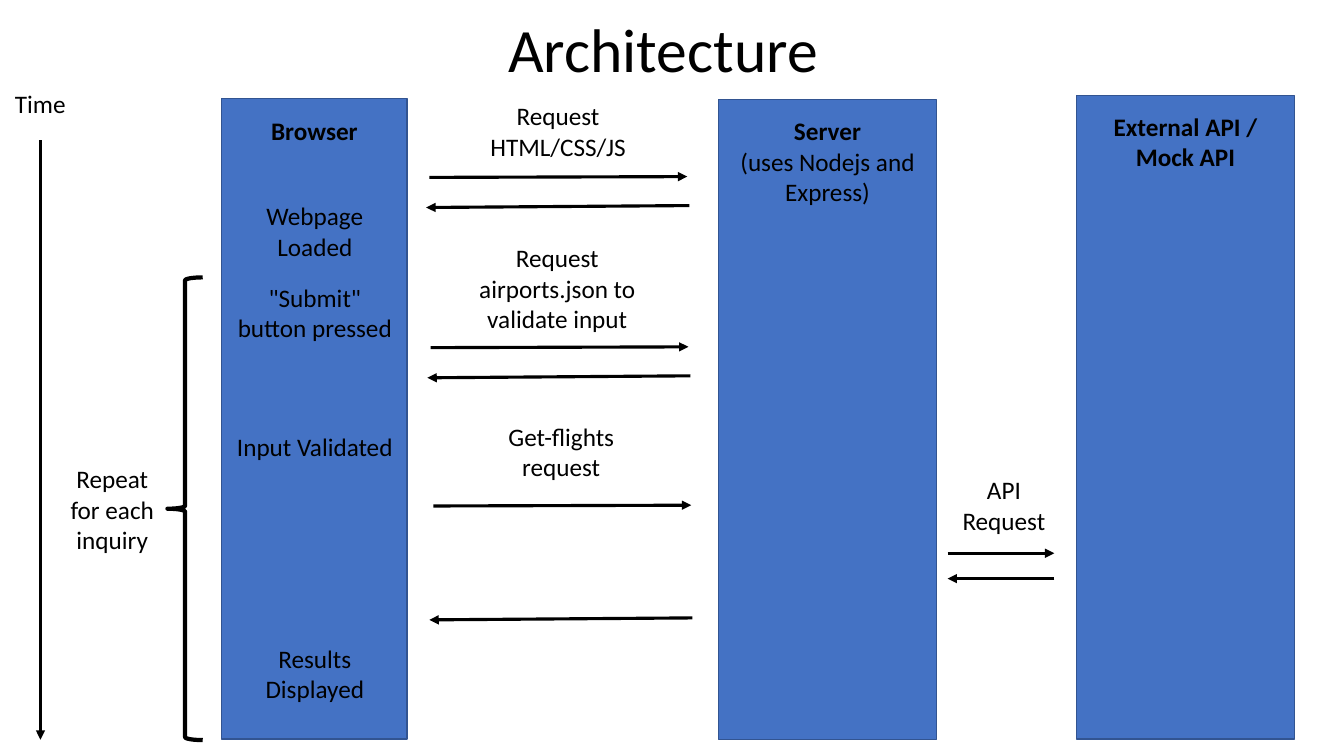
from lxml import etree
from pptx import Presentation
from pptx.dml.color import RGBColor
from pptx.enum.shapes import MSO_CONNECTOR, MSO_SHAPE
from pptx.enum.text import MSO_ANCHOR, MSO_AUTO_SIZE, PP_ALIGN
from pptx.oxml.ns import qn
from pptx.util import Cm, Pt


def rgb(value):
    return RGBColor.from_string(value)


class Diagram:
    font, ink, lane_fill, lane_edge = "Calibri", "000000", "4472C4", "325491"

    def __init__(self, prs):
        self.s = prs.slides.add_slide(prs.slide_layouts[5])

    def set_text(self, tf, text, size=18, bold_first=False):
        tf.text = text
        tf.word_wrap = True
        for i, p in enumerate(tf.paragraphs):
            p.alignment = PP_ALIGN.CENTER
            for r in p.runs:
                r.font.name, r.font.size = self.font, Pt(size)
                r.font.color.rgb = rgb(self.ink)
                r.font.bold = bold_first and i == 0

    def title(self, text, x, y, w, h):
        sp = self.s.shapes.title
        sp.left, sp.top, sp.width, sp.height = Cm(x), Cm(y), Cm(w), Cm(h)
        tf = sp.text_frame
        self.set_text(tf, text, size=44)
        tf.vertical_anchor = MSO_ANCHOR.MIDDLE
        tf.paragraphs[0].line_spacing = 0.9

    def label(self, text, x, y, w, lines, bold_first=False):
        height = 0.25 + 0.77 * lines
        tf = self.s.shapes.add_textbox(Cm(x), Cm(y), Cm(w), Cm(height)).text_frame
        self.set_text(tf, text, bold_first=bold_first)
        tf.auto_size = MSO_AUTO_SIZE.SHAPE_TO_FIT_TEXT

    def lane(self, x, y, w, h):
        sp = self.s.shapes.add_shape(MSO_SHAPE.RECTANGLE, Cm(x), Cm(y), Cm(w), Cm(h))
        sp.shadow.inherit = False
        sp.fill.solid()
        sp.fill.fore_color.rgb = rgb(self.lane_fill)
        sp.line.color.rgb = rgb(self.lane_edge)
        sp.line.width = Pt(1)

    def brace(self, x, y, w, h):
        sp = self.s.shapes.add_shape(MSO_SHAPE.LEFT_BRACE, Cm(x), Cm(y), Cm(w), Cm(h))
        sp.shadow.inherit = False
        sp.fill.background()
        sp.line.color.rgb = rgb(self.ink)
        sp.line.width = Pt(3)

    def arrow(self, x, y, dx, dy):
        c = self.s.shapes.add_connector(
            MSO_CONNECTOR.STRAIGHT, Cm(x), Cm(y), Cm(x + dx), Cm(y + dy))
        c.line.color.rgb = rgb(self.ink)
        c.line.width = Pt(2.25)
        props = c._element.spPr
        etree.SubElement(props.find(qn("a:ln")), qn("a:tailEnd"), type="triangle")
        etree.SubElement(props, qn("a:effectLst"))


def main():
    prs = Presentation()
    prs.slide_width, prs.slide_height = Cm(33.87), Cm(19.05)
    d = Diagram(prs)
    d.title("Architecture", 2.11, -0.13, 29.21, 2.92)

    # Lanes: left, top, width, height, heading, heading top, heading lines
    for x, y, w, h, heading, top, lines in [
        (5.59, 2.49, 4.67, 16.13, "Browser", 2.79, 1),
        (18.11, 2.51, 5.49, 16.13, "Server\n(uses Nodejs and Express)", 2.79, 3),
        (27.13, 2.41, 5.49, 16.21, "External API / Mock API", 2.67, 2),
    ]:
        d.lane(x, y, w, h)
        d.label(heading, x, top, w, lines, bold_first=True)

    # Browser states
    for text, y, lines in [
        ("Webpage Loaded", 4.93, 2),
        ('"Submit" button pressed', 6.99, 2),
        ("Input Validated", 10.74, 1),
        ("Results Displayed", 16.08, 2),
    ]:
        d.label(text, 5.6, y, 4.67, lines)

    # Browser and server messages: label place, request start, reply start
    for text, x, y, lines, request, reply in [
        ("Request HTML/CSS/JS", 11.73, 2.41, 2, (10.82, 4.47), (17.37, 5.18)),
        ("Request airports.json to validate input", 11.71, 5.99, 3,
         (10.85, 8.76), (17.4, 9.47)),
        ("Get-flights request", 11.81, 10.49, 2, (10.92, 12.75), (17.45, 15.57)),
    ]:
        d.label(text, x, y, 4.67, lines)
        d.arrow(*request, 6.5, -0.02)
        d.arrow(*reply, -6.63, 0.05)

    # Server and external API messages
    d.label("API Request", 23.55, 11.84, 3.5, 2)
    d.arrow(23.88, 13.94, 2.69, 0)
    d.arrow(26.57, 14.58, -2.69, 0)

    # Time axis and repeated section
    d.label("Time", 0, 2.11, 2.03, 1)
    d.arrow(1.02, 3.53, 0, 15.11)
    d.brace(4.22, 6.99, 0.89, 11.66)
    d.label("Repeat for each inquiry", 1.47, 11.56, 2.72, 3)

    prs.save("out.pptx")


if __name__ == "__main__":
    main()
